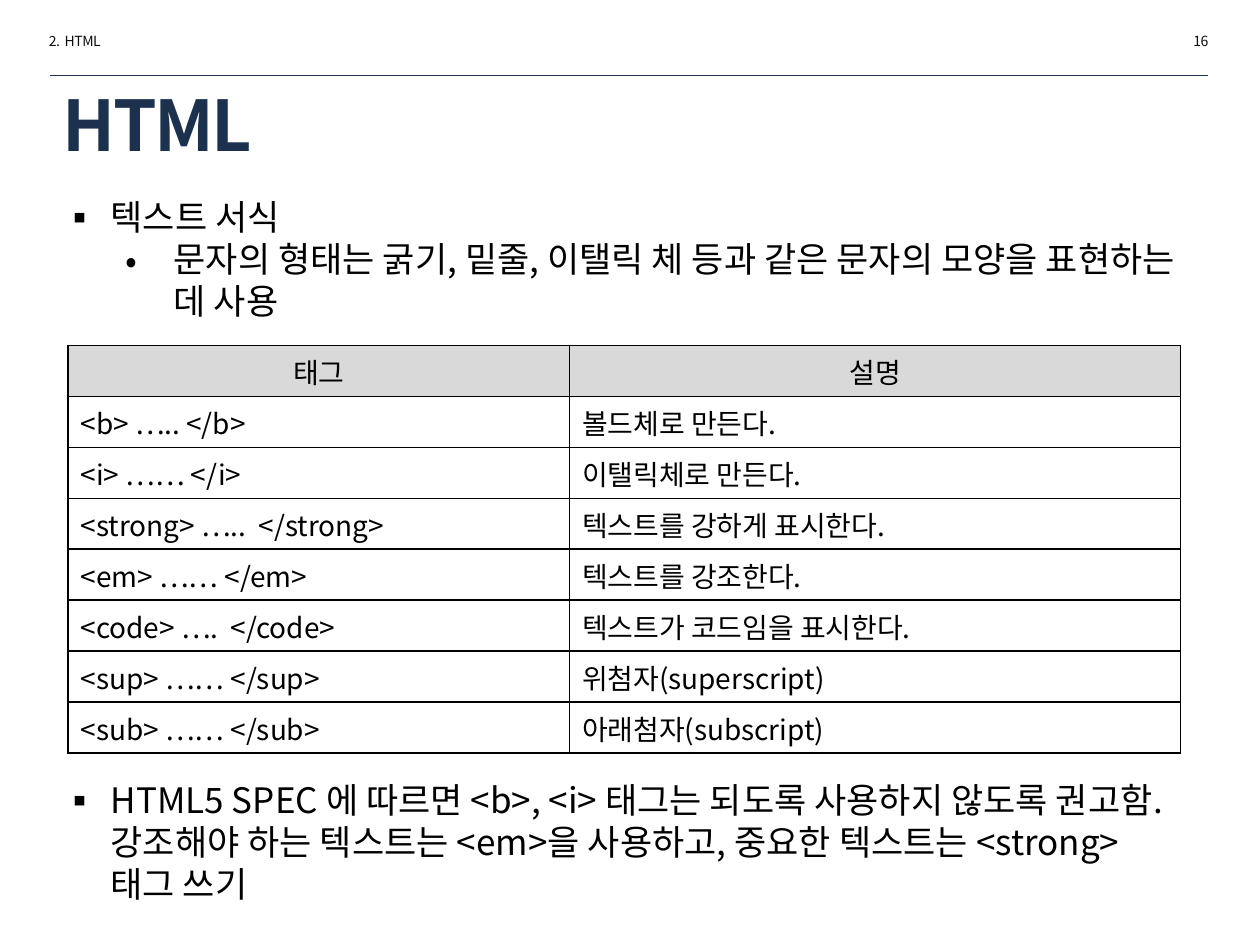
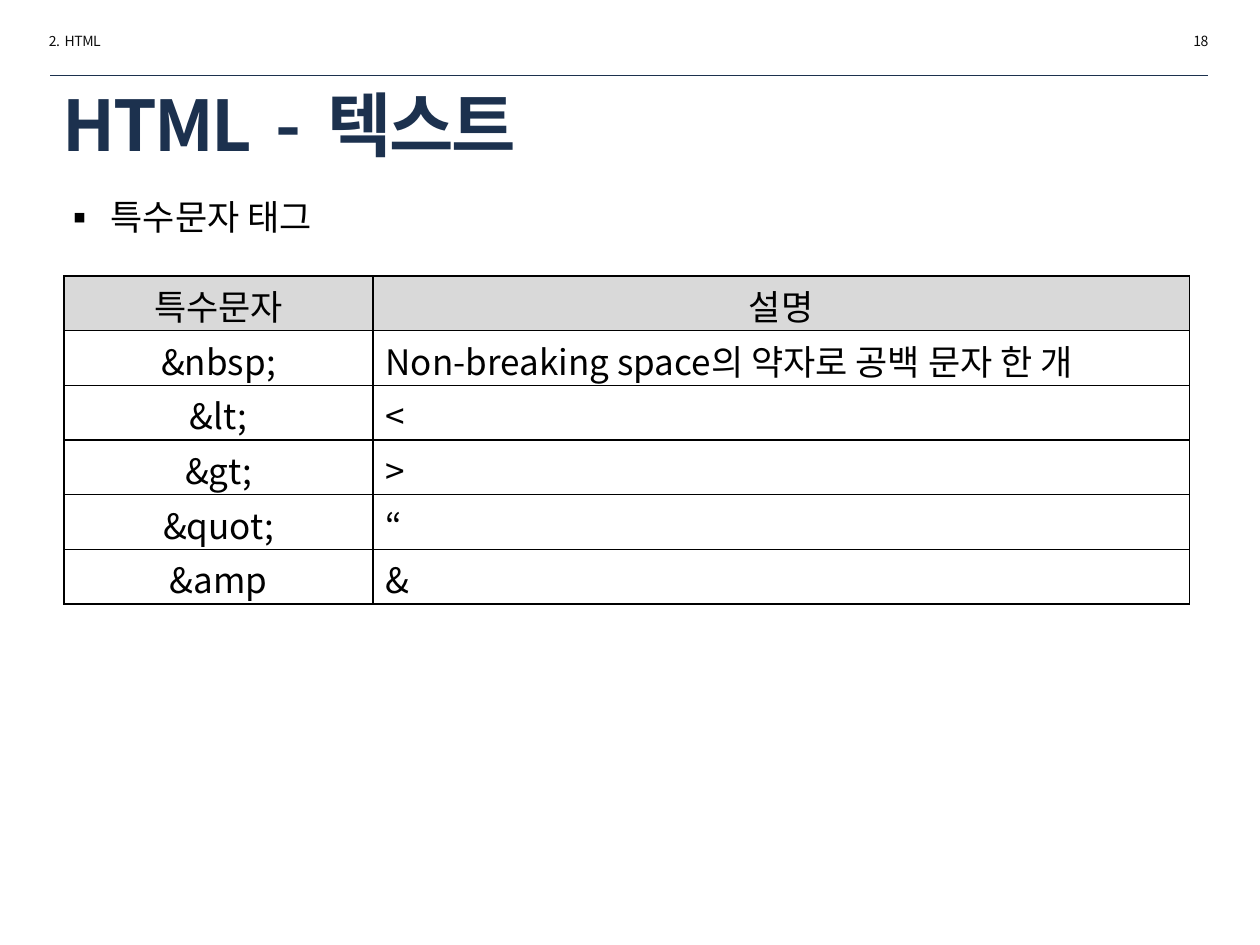
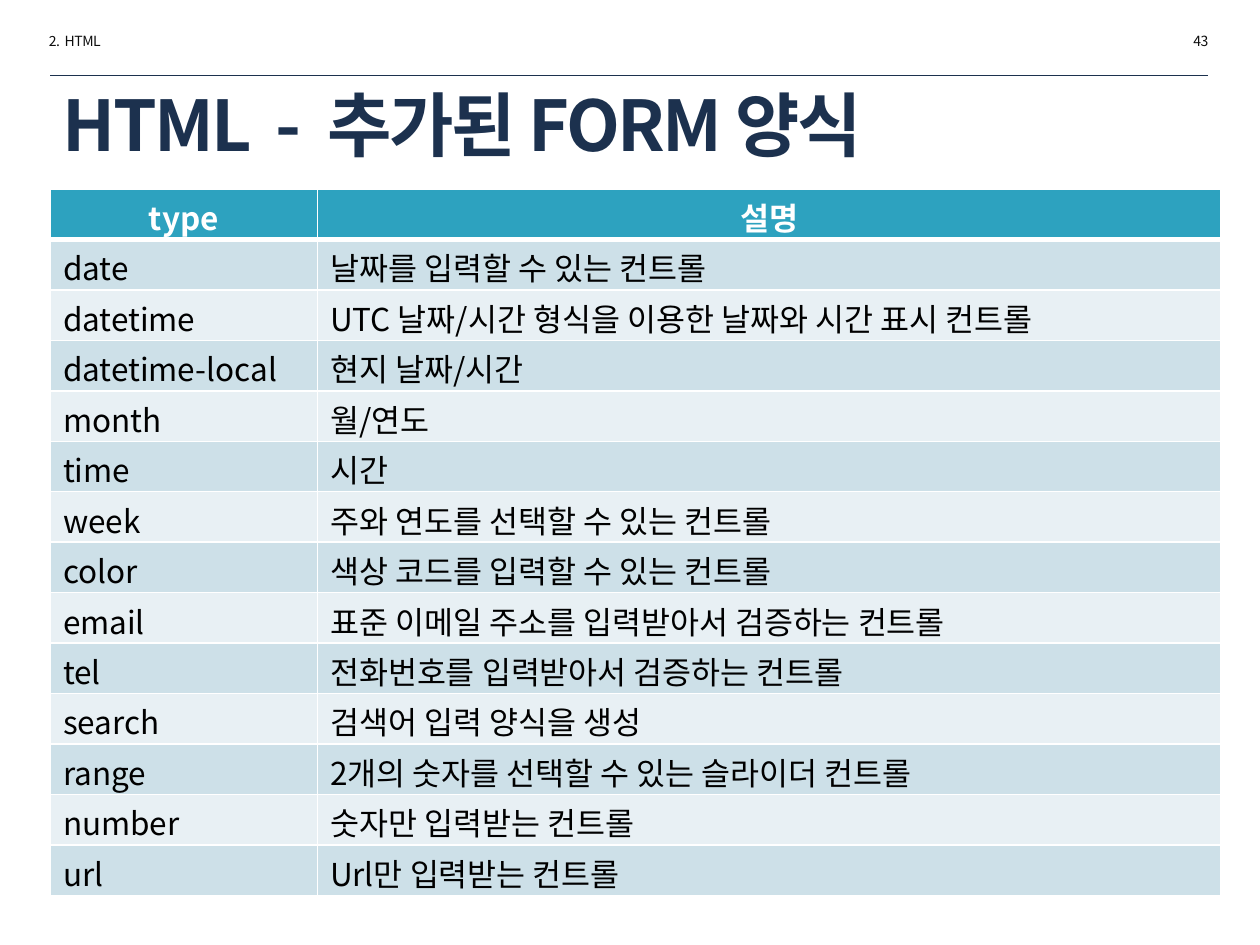
from pptx import Presentation
from pptx.dml.color import RGBColor
from pptx.enum.shapes import MSO_CONNECTOR
from pptx.enum.text import MSO_ANCHOR as Anchor, PP_ALIGN as Align
from pptx.oxml.ns import qn
from pptx.util import Inches, Pt
from lxml.etree import SubElement

FONT = "Noto Sans CJK KR"
LINE_RATIO = 1.2
NAVY = RGBColor(0x1C, 0x31, 0x4E)
INK = RGBColor(0x0D, 0x0D, 0x0D)
BLACK = RGBColor(0, 0, 0)
WHITE = RGBColor(0xFF, 0xFF, 0xFF)
GRAY = RGBColor(0xD9, 0xD9, 0xD9)
TEAL = RGBColor(0x2D, 0xA2, 0xBF)
BAND_DARK = RGBColor(0xCD, 0xE0, 0xE8)
BAND_LIGHT = RGBColor(0xE8, 0xF0, 0xF4)

HEADER = {"size": Pt(8), "color": INK, "spacing": -30}
TITLE = {"size": Pt(40), "color": NAVY, "bold": True, "spacing": -150}
BODY = {"size": Pt(20), "color": BLACK}
BULLETS = [("▪", 0.38), ("•", 0.88)]
HANGING = 0.38

GRID = {"size": 16, "line": BLACK, "head_fill": GRAY, "head_color": BLACK,
        "head_bold": False, "head_rule": 1, "bands": [None],
        "centered": (), "middle": ()}
SYMBOL_GRID = GRID | {"size": 20, "centered": (0,), "middle": (0,)}
BANDED_GRID = GRID | {"size": 18, "line": WHITE, "head_fill": TEAL,
                      "head_color": WHITE, "head_bold": True, "head_rule": 3,
                      "bands": [BAND_DARK, BAND_LIGHT], "middle": (0, 1)}

FORMAT_ROWS = [
    ("태그", "설명"),
    ("<b> ….. </b>", "볼드체로 만든다."),
    ("<i> …… </i>", "이탤릭체로 만든다."),
    ("<strong> …..  </strong>", "텍스트를 강하게 표시한다."),
    ("<em> …… </em>", "텍스트를 강조한다."),
    ("<code> ….  </code>", "텍스트가 코드임을 표시한다."),
    ("<sup> …… </sup>", "위첨자(superscript)"),
    ("<sub> …… </sub>", "아래첨자(subscript)"),
]
SYMBOL_ROWS = [
    ("특수문자", "설명"),
    ("&nbsp;", "Non-breaking space의 약자로 공백 문자 한 개"),
    ("&lt;", "<"),
    ("&gt;", ">"),
    ("&quot;", "“"),
    ("&amp", "&"),
]
INPUT_ROWS = [
    ("type", "설명"),
    ("date", "날짜를 입력할 수 있는 컨트롤"),
    ("datetime", "UTC 날짜/시간 형식을 이용한 날짜와 시간 표시 컨트롤"),
    ("datetime-local", "현지 날짜/시간"),
    ("month", "월/연도"),
    ("time", "시간"),
    ("week", "주와 연도를 선택할 수 있는 컨트롤"),
    ("color", "색상 코드를 입력할 수 있는 컨트롤"),
    ("email", "표준 이메일 주소를 입력받아서 검증하는 컨트롤"),
    ("tel", "전화번호를 입력받아서 검증하는 컨트롤"),
    ("search", "검색어 입력 양식을 생성"),
    ("range", "2개의 숫자를 선택할 수 있는 슬라이더 컨트롤"),
    ("number", "숫자만 입력받는 컨트롤"),
    ("url", "Url만 입력받는 컨트롤"),
]


def write(para, text, style, align=Align.LEFT):
    para.alignment = align
    para.line_spacing = Pt(style["size"].pt * LINE_RATIO)
    span = para.add_run()
    span.text = text
    span.font.name = FONT
    span.font.color.rgb = style["color"]
    for name in ("size", "bold"):
        setattr(span.font, name, style.get(name, False))
    props = span.font._element
    SubElement(props, qn("a:ea"), typeface=FONT)
    if "spacing" in style:
        props.set("spc", str(style["spacing"]))


def add_box(page, place, anchor=Anchor.TOP):
    frame = page.shapes.add_textbox(*map(Inches, place)).text_frame
    frame.word_wrap = True
    frame.vertical_anchor = anchor
    return frame


def add_label(page, place, text, style, align=Align.LEFT, anchor=Anchor.TOP):
    write(add_box(page, place, anchor).paragraphs[0], text, style, align)


def add_bullets(page, place, items):
    frame = add_box(page, place)
    for index, (level, text) in enumerate(items):
        para = frame.add_paragraph() if index else frame.paragraphs[0]
        mark, indent = BULLETS[level]
        para.level = level
        write(para, text, BODY)
        props = para._p.get_or_add_pPr()
        props.set("marL", str(Inches(indent)))
        props.set("indent", str(-Inches(HANGING)))
        SubElement(props, qn("a:buFont"), typeface=FONT)
        SubElement(props, qn("a:buChar"), char=mark)


def set_borders(cell, color, widths):
    props = cell._tc.get_or_add_tcPr()
    for side, width in widths.items():
        line = SubElement(props, qn(f"a:ln{side}"), w=str(Pt(width)))
        fill = SubElement(line, qn("a:solidFill"))
        SubElement(fill, qn("a:srgbClr"), val=str(color))


def fill_cell(cell, text, row, column, look):
    head = row == 0
    margins = {"margin_top": Inches(0.1), "margin_bottom": 0}
    for name, value in margins.items():
        setattr(cell, name, value)
    middle = not head and column in look["middle"]
    cell.vertical_anchor = Anchor.MIDDLE if middle else Anchor.TOP
    set_borders(cell, look["line"], {
        "L": 1, "R": 1,
        "T": look["head_rule"] if row == 1 else 1,
        "B": look["head_rule"] if head else 1})
    bands = look["bands"]
    color = look["head_fill"] if head else bands[(row - 1) % len(bands)]
    if color is None:
        cell.fill.background()
    else:
        cell.fill.solid()
        cell.fill.fore_color.rgb = color
    style = {"size": Pt(look["size"]),
             "color": look["head_color"] if head else BLACK,
             "bold": head and look["head_bold"]}
    centered = head or column in look["centered"]
    write(cell.text_frame.paragraphs[0], text, style,
          Align.CENTER if centered else Align.LEFT)


def add_grid(page, left, top, height, widths, rows, look):
    table = page.shapes.add_table(
        len(rows), len(widths),
        *map(Inches, (left, top, sum(widths), height))).table
    table.first_row = table.horz_banding = False
    for column, width in zip(table.columns, widths):
        column.width = Inches(width)
    for row_index, texts in enumerate(rows):
        table.rows[row_index].height = Inches(height / len(rows))
        for column_index, text in enumerate(texts):
            fill_cell(table.cell(row_index, column_index), text,
                      row_index, column_index, look)


def add_page(deck, title, number):
    page = deck.slides.add_slide(deck.slide_layouts[6])
    add_label(page, (0.29, 0.21, 1.73, 0.24), "2.  HTML", HEADER)
    rule = page.shapes.add_connector(
        MSO_CONNECTOR.STRAIGHT, *map(Inches, (0.4, 0.6, 9.59, 0.6)))
    rule.line.color.rgb = NAVY
    rule.line.width = Pt(0.25)
    SubElement(rule._element.spPr, qn("a:effectLst"))
    add_label(page, (0.4, 0.66, 9.15, 0.64), title, TITLE, anchor=Anchor.MIDDLE)
    add_label(page, (7.96, 0.21, 1.73, 0.24), str(number), HEADER, Align.RIGHT)
    return page


def add_format_page(deck):
    page = add_page(deck, "HTML", 16)
    add_bullets(page, (0.4, 1.5, 9.19, 1.11), [
        (0, "텍스트 서식"),
        (1, "문자의 형태는 굵기, 밑줄, 이탤릭 체 등과 같은 문자의 모양을 "
            "표현하는 데 사용")])
    add_grid(page, 0.54, 2.74, 3.24, (3.98, 4.85), FORMAT_ROWS, GRID)
    add_bullets(page, (0.4, 6.13, 8.98, 1.15), [
        (0, "HTML5 SPEC 에 따르면 <b>, <i> 태그는 되도록 사용하지 않도록 "
            "권고함. 강조해야 하는 텍스트는 <em>을 사용하고, 중요한 텍스트는 "
            "<strong> 태그 쓰기")])


def add_symbol_page(deck):
    page = add_page(deck, "HTML  -  텍스트", 18)
    add_bullets(page, (0.4, 1.5, 9.19, 0.44), [(0, "특수문자 태그")])
    add_grid(page, 0.51, 2.19, 2.6, (2.45, 6.48), SYMBOL_ROWS, SYMBOL_GRID)


def add_input_page(deck):
    page = add_page(deck, "HTML  -  추가된 FORM 양식", 43)
    add_grid(page, 0.4, 1.5, 5.6, (2.12, 7.17), INPUT_ROWS, BANDED_GRID)


def main():
    deck = Presentation()
    deck.slide_width, deck.slide_height = Inches(10), Inches(7.5)
    for build in (add_format_page, add_symbol_page, add_input_page):
        build(deck)
    deck.save("out.pptx")


if __name__ == "__main__":
    main()
